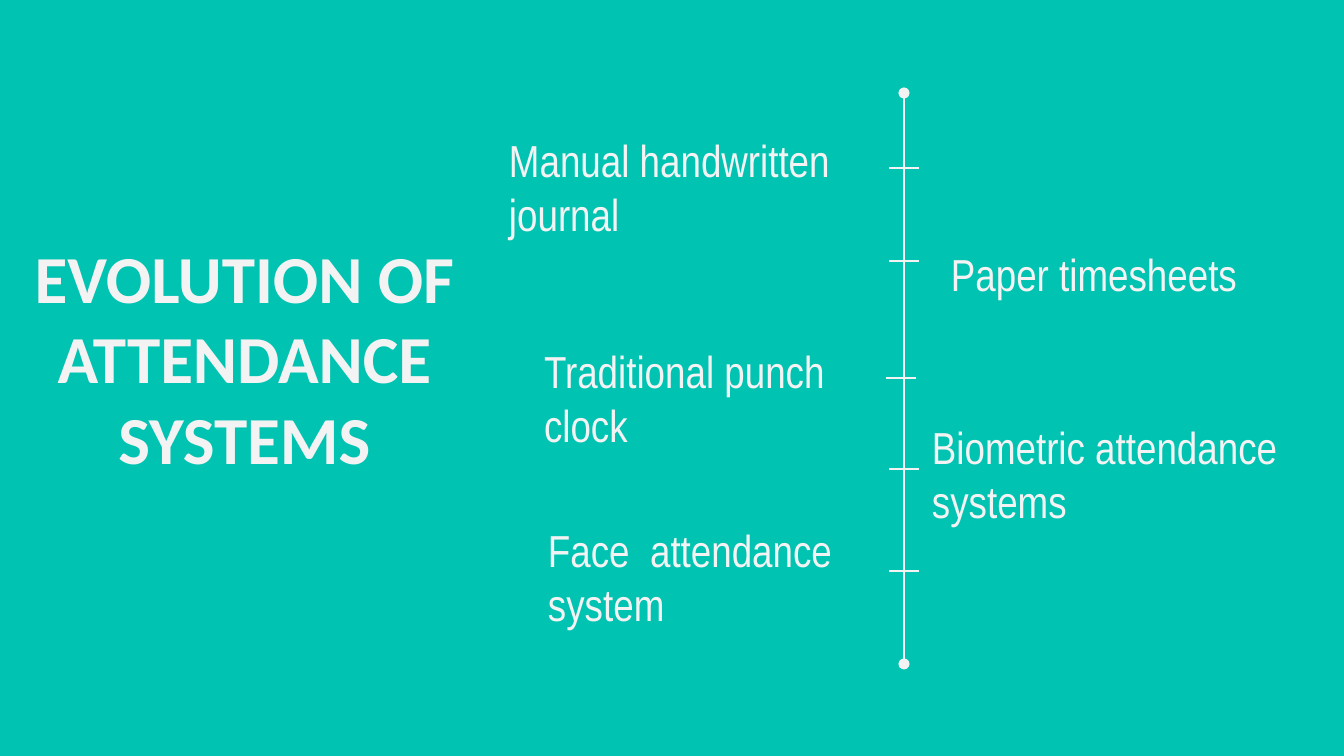
from pptx import Presentation
from pptx.dml.color import RGBColor
from pptx.enum.shapes import MSO_CONNECTOR as Connector
from pptx.enum.text import MSO_ANCHOR as Anchor, MSO_AUTO_SIZE as AutoSize, PP_ALIGN as Align
from pptx.oxml.ns import qn
from pptx.util import Pt
from lxml.etree import SubElement

PX = 914400 / 134.4
TEAL = "00C3B1"
WHITE = "F3F3F3"


def write_text(shape, box, text, font_name, size, anchor, bold=False):
    shape.left, shape.top, shape.width, shape.height = [round(value * PX) for value in box]
    frame = shape.text_frame
    frame.word_wrap = True
    frame.auto_size = AutoSize.NONE
    frame.vertical_anchor = anchor
    frame.margin_left = frame.margin_right = frame.margin_top = frame.margin_bottom = round(13 * PX)
    run = frame.paragraphs[0].add_run()
    run.text = text
    run.font.name = font_name
    run.font.size = Pt(size)
    run.font.bold = bold
    run.font.color.rgb = RGBColor.from_string(WHITE)
    return frame.paragraphs[0]


def add_line(slide, *ends):
    line = slide.shapes.add_connector(Connector.STRAIGHT, *[round(value * PX) for value in ends])
    line.line.color.rgb = RGBColor.from_string(WHITE)
    line.line.width = Pt(1.5)
    SubElement(line._element.spPr, qn("a:effectLst"))
    return line


presentation = Presentation()
presentation.slide_width = round(1344 * PX)
presentation.slide_height = round(756 * PX)
slide = presentation.slides.add_slide(presentation.slide_layouts[5])
slide.background.fill.solid()
slide.background.fill.fore_color.rgb = RGBColor.from_string(TEAL)

title = write_text(slide.shapes.title, (0, 223, 489, 292), "EVOLUTION OF ATTENDANCE SYSTEMS",
                   "Calibri", 36, Anchor.TOP, bold=True)
title.alignment = Align.CENTER

timeline = add_line(slide, 904, 93, 904, 664)
outline = timeline.line._get_or_add_ln()
for end in ("a:headEnd", "a:tailEnd"):
    SubElement(outline, qn(end), type="oval")

stages = [
    ("Manual handwritten journal", 496, 120, 425, Anchor.TOP),
    ("Paper timesheets", 938, 227, 367, Anchor.MIDDLE),
    ("Traditional punch clock", 531, 351, 355, Anchor.MIDDLE),
    ("Biometric attendance systems", 919, 427, 474, Anchor.MIDDLE),
    ("Face  attendance system", 535, 530, 341, Anchor.MIDDLE),
]
for text, left, top, width, anchor in stages:
    label = slide.shapes.add_textbox(0, 0, 0, 0)
    write_text(label, (left, top, width, 93), text, "Arial Narrow", 24, anchor)

for left, y in [(889, 168), (889, 261), (886, 378), (889, 469), (889, 571)]:
    add_line(slide, left, y, left + 30, y)

presentation.save("out.pptx")
